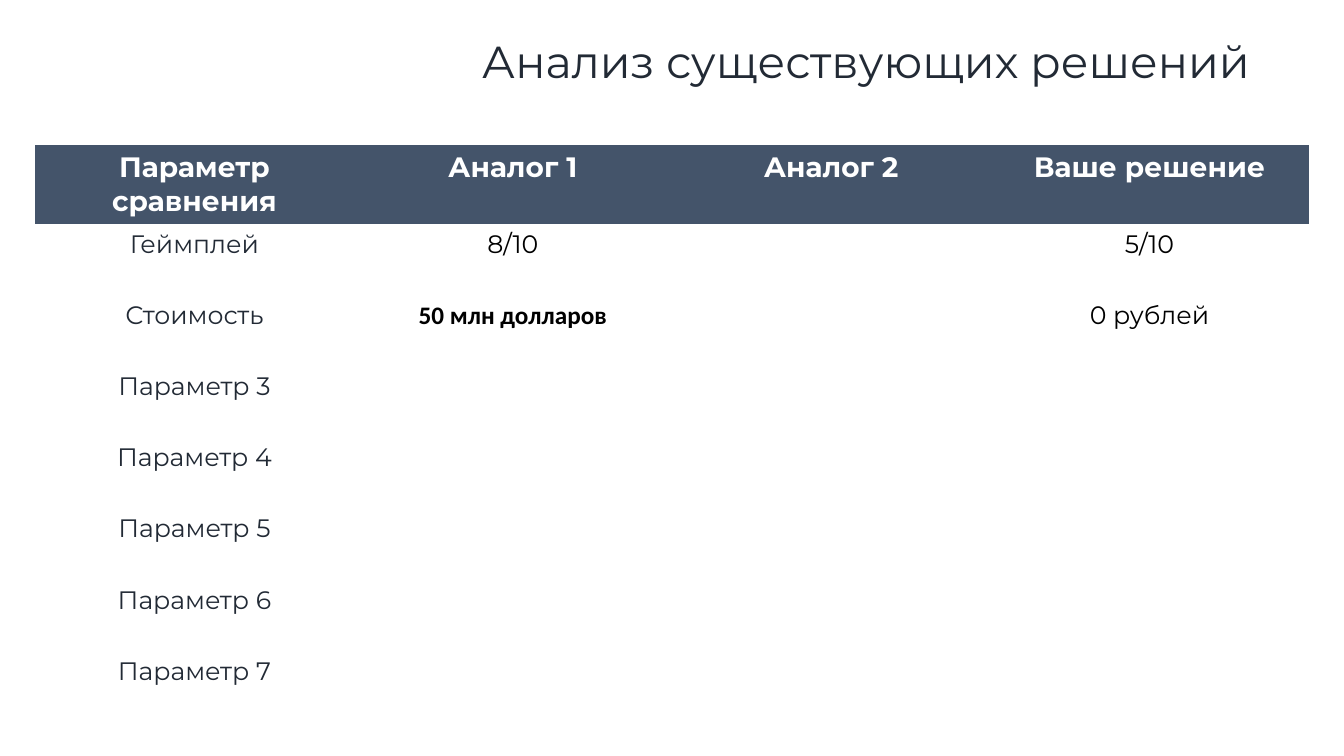
import pptx
import pptx.dml.color
import pptx.enum.text
import pptx.oxml.ns
import pptx.util

RGBColor = pptx.dml.color.RGBColor
Inches = pptx.util.Inches
ALIGN = pptx.enum.text.PP_ALIGN
ANCHOR = pptx.enum.text.MSO_ANCHOR

# Content
TITLE = "Анализ существующих решений"
HEADER = ["Параметр сравнения", "Аналог 1", "Аналог 2", "Ваше решение"]
ROWS = [
    ["Геймплей", "8/10", "", "5/10"],
    ["Стоимость", "50 млн долларов", "", "0 рублей"],
    ["Параметр 3", "", "", ""],
    ["Параметр 4", "", "", ""],
    ["Параметр 5", "", "", ""],
    ["Параметр 6", "", "", ""],
    ["Параметр 7", "", "", ""],
]
HIGHLIGHTED = (2, 1)

# Look
FONT, HIGHLIGHT_FONT = "Montserrat", "Calibri"
DARK = RGBColor(0x22, 0x2A, 0x35)
SLATE = RGBColor(0x44, 0x54, 0x6A)
WHITE = RGBColor(0xFF, 0xFF, 0xFF)
BLACK = RGBColor(0x00, 0x00, 0x00)
PLAIN_TABLE_STYLE = "{2D5ABB26-0587-4C30-8999-92F81FD0307C}"

# Geometry in inches
SLIDE_WIDTH, SLIDE_HEIGHT = 13.33, 7.5
TITLE_BOX = (4.68, 0.28, 8.45, 0.64)
MARGIN, TABLE_TOP, TABLE_HEIGHT = 0.35, 1.44, 5.65


def write(text_frame, text, size=18, color=BLACK, bold=False, font=FONT, align=ALIGN.CENTER):
    paragraph = text_frame.paragraphs[0]
    paragraph.alignment = align
    run = paragraph.add_run()
    run.text = text
    run.font.size = pptx.util.Pt(size)
    run.font.name = font
    run.font.bold = bold
    run.font.color.rgb = color


def add_title(slide):
    title = slide.shapes.title
    title.left, title.top, title.width, title.height = map(Inches, TITLE_BOX)
    title.text_frame.vertical_anchor = ANCHOR.TOP
    title.text_frame.auto_size = pptx.enum.text.MSO_AUTO_SIZE.NONE
    write(title.text_frame, TITLE, size=32, color=DARK, align=ALIGN.LEFT)


def add_comparison(slide):
    cells = [HEADER] + ROWS
    frame = slide.shapes.add_table(
        len(cells), len(HEADER), Inches(MARGIN), Inches(TABLE_TOP),
        Inches(SLIDE_WIDTH - 2 * MARGIN), Inches(TABLE_HEIGHT))
    table = frame.table
    table.horz_banding = False
    style = frame._element.find(".//" + pptx.oxml.ns.qn("a:tableStyleId"))
    style.text = PLAIN_TABLE_STYLE

    for row, texts in enumerate(cells):
        for column, text in enumerate(texts):
            cell = table.cell(row, column)
            if row == 0:
                cell.fill.solid()
                cell.fill.fore_color.rgb = SLATE
                look = dict(size=20, color=WHITE, bold=True)
            else:
                cell.fill.background()
                look = dict(color=BLACK if column else DARK)
            if (row, column) == HIGHLIGHTED:
                look.update(bold=True, font=HIGHLIGHT_FONT)
            if text:
                write(cell.text_frame, text, **look)


def main():
    presentation = pptx.Presentation()
    presentation.slide_width = Inches(SLIDE_WIDTH)
    presentation.slide_height = Inches(SLIDE_HEIGHT)
    slide = presentation.slides.add_slide(presentation.slide_layouts.get_by_name("Title Only"))
    add_title(slide)
    add_comparison(slide)
    presentation.save("out.pptx")


if __name__ == "__main__":
    main()
